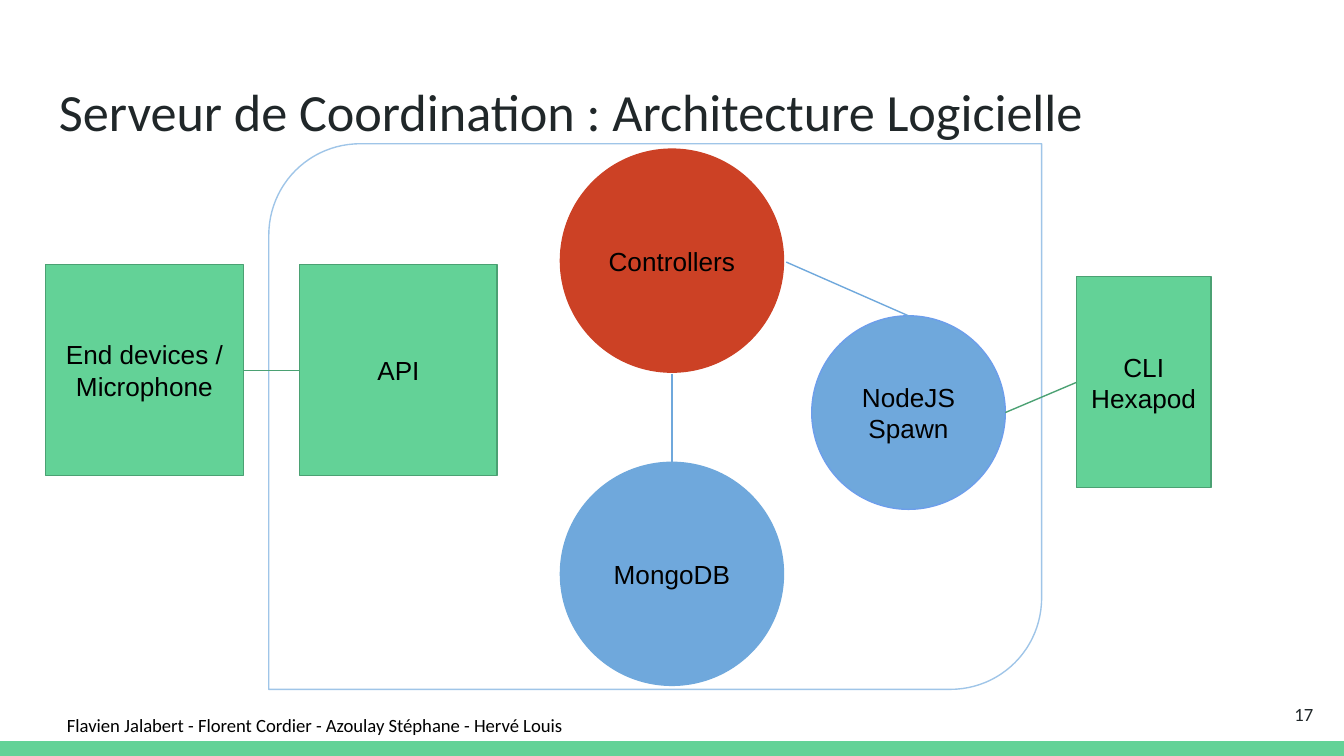
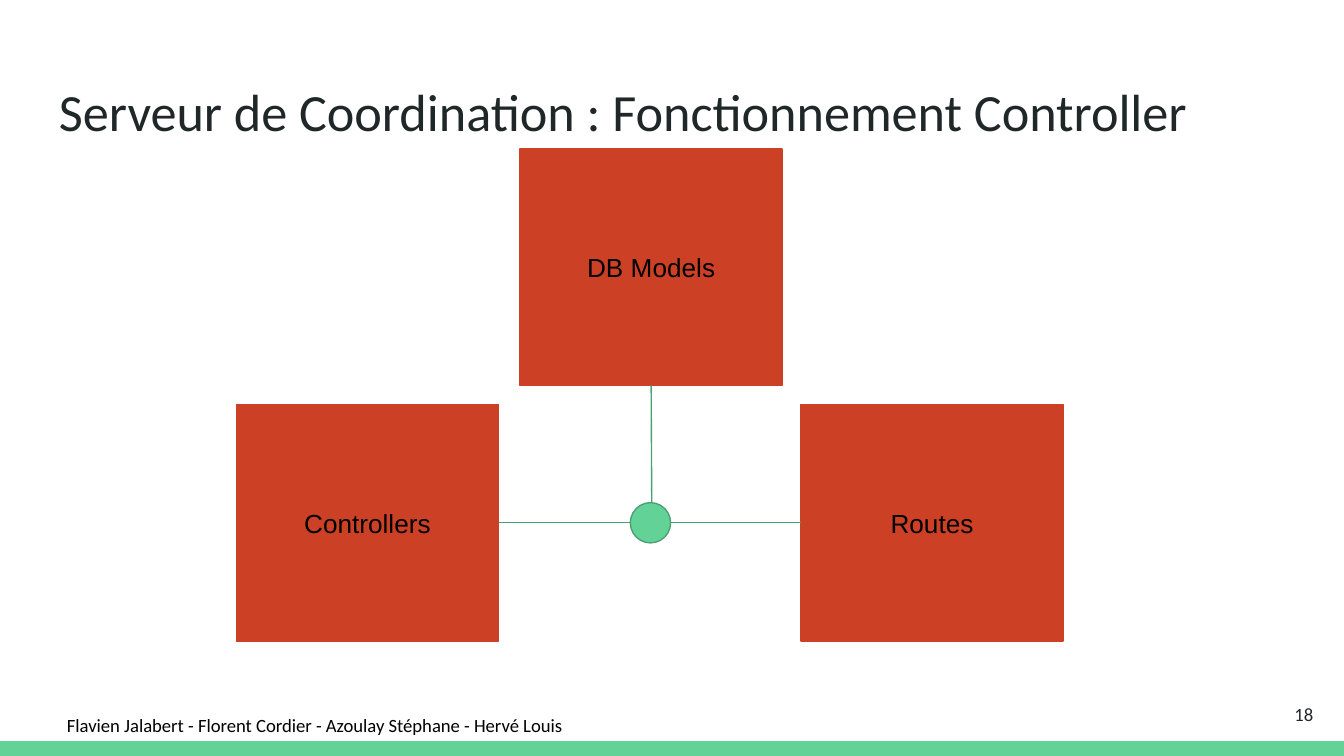
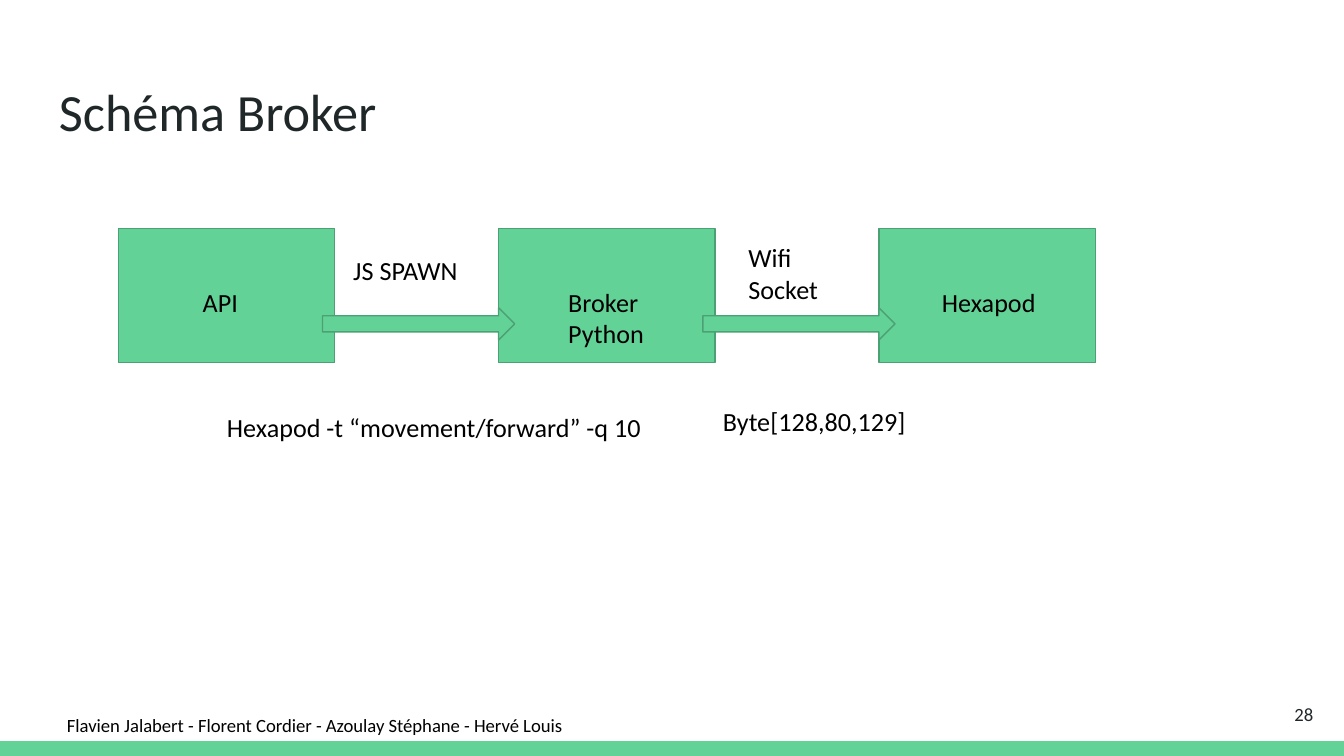
from lxml.etree import SubElement
from pptx import Presentation
from pptx.dml.color import RGBColor
from pptx.enum.shapes import MSO_CONNECTOR, MSO_SHAPE
from pptx.enum.text import MSO_ANCHOR, PP_ALIGN
from pptx.oxml.ns import qn
from pptx.shapes.autoshape import Shape
from pptx.util import Inches, Pt

GREEN, EDGE = "63D297", "4BA173"
BLUE, RIM, PALE = "6FA8DC", "6D9EEB", "9FC5E8"
RED, INK, BLACK = "CC4125", "202729", "000000"
WIDTH = 10
HEIGHT = WIDTH * 9 / 16
BAND = 0.11
TEAM = "Flavien Jalabert - Florent Cordier - Azoulay Stéphane - Hervé Louis"
TOP, LEFT, BOTTOM, RIGHT = range(4)


def tint(code):
    return RGBColor.from_string(code)


def write(shape, text, size=14, font="Calibri", color=BLACK,
          align=PP_ALIGN.LEFT, anchor=MSO_ANCHOR.TOP):
    frame = shape.text_frame
    frame.word_wrap = True
    frame.vertical_anchor = anchor
    frame.margin_left = frame.margin_right = Inches(0.1)
    frame.margin_top = frame.margin_bottom = Inches(0.1)
    para = frame.paragraphs[0]
    para.text = text
    para.alignment = align
    for run in para.runs:
        run.font.size = Pt(size)
        run.font.name = font
        run.font.color.rgb = tint(color)


class Deck:
    """Holds the shared style and the slide being filled."""

    def __init__(self):
        self.show = Presentation()
        self.show.slide_width = Inches(WIDTH)
        self.show.slide_height = Inches(HEIGHT)
        self.slide = None

    def page(self, title, number):
        self.slide = self.show.slides.add_slide(self.show.slide_layouts[6])
        self.label(TEAM, 0.05, 5.23, 4.58, 0.31, size=10,
                   align=PP_ALIGN.CENTER)
        self.shape(MSO_SHAPE.RECTANGLE, 0, HEIGHT - BAND, WIDTH, BAND, GREEN)
        self.label(title, 0.34, 0.49, 9.32, 0.63, size=28, color=INK)
        self.label(str(number), 9.27, 5.1, 0.6, 0.43, size=10, color=INK,
                   align=PP_ALIGN.RIGHT, anchor=MSO_ANCHOR.MIDDLE)

    def label(self, text, x, y, w, h, **style):
        box = self.slide.shapes.add_textbox(*map(Inches, (x, y, w, h)))
        write(box, text, **style)

    def shape(self, kind, x, y, w, h, fill=None, edge=None, text=None):
        item = self.slide.shapes.add_shape(kind, *map(Inches, (x, y, w, h)))
        item.shadow.inherit = False
        if fill:
            item.fill.solid()
            item.fill.fore_color.rgb = tint(fill)
        else:
            item.fill.background()
        if edge:
            item.line.color.rgb = tint(edge)
            item.line.width = Pt(0.75)
        else:
            item.line.fill.background()
        if text:
            write(item, text, font="Arial", align=PP_ALIGN.CENTER,
                  anchor=MSO_ANCHOR.MIDDLE)
        return item

    def box(self, x, y, w, h, text=None, fill=GREEN, edge=EDGE):
        return self.shape(MSO_SHAPE.RECTANGLE, x, y, w, h, fill, edge, text)

    def disc(self, x, y, size, text=None, fill=BLUE, edge=BLUE):
        return self.shape(MSO_SHAPE.OVAL, x, y, size, size, fill, edge, text)

    def link(self, start, end, color=EDGE):
        """Draw a line; each end is an (x, y) point or a (shape, site) pair."""
        line = self.slide.shapes.add_connector(MSO_CONNECTOR.STRAIGHT, 0, 0, 0, 0)
        if isinstance(start[0], Shape):
            line.begin_connect(*start)
        else:
            line.begin_x, line.begin_y = map(Inches, start)
        if isinstance(end[0], Shape):
            line.end_connect(*end)
        else:
            line.end_x, line.end_y = map(Inches, end)
        line.line.color.rgb = tint(color)
        line.line.width = Pt(0.75)
        SubElement(line._element.spPr, qn("a:effectLst"))


def logic(deck):
    deck.page("Serveur de Coordination : Architecture Logicielle", 17)
    zone = deck.shape(MSO_SHAPE.ROUND_2_DIAG_RECTANGLE, 2, 1.07, 5.75, 4.06,
                      edge=PALE)
    zone.adjustments[0] = 0.167
    ends = deck.box(0.34, 1.97, 1.47, 1.57, "End devices / Microphone")
    api = deck.box(2.23, 1.97, 1.47, 1.57, "API")
    store = deck.disc(4.17, 3.44, 1.66, "MongoDB")
    deck.disc(4.17, 1.11, 1.66, "Controllers", RED, RED)
    spawn = deck.disc(6.04, 2.35, 1.44, "NodeJS\nSpawn", edge=RIM)
    cli = deck.box(8.01, 2.06, 1, 1.57, "CLI Hexapod")
    deck.link((ends, RIGHT), (api, LEFT))
    deck.link((5, 2.78), (store, TOP), BLUE)
    deck.link((5.85, 1.95), (spawn, TOP), BLUE)
    deck.link((7.48, 3.07), (cli, LEFT))


def control(deck):
    deck.page("Serveur de Coordination : Fonctionnement Controller", 18)
    ctrl, model, route = [
        deck.box(x, y, 1.95, 1.76, text, RED, RED)
        for x, y, text in ((1.76, 3.01, "Controllers"),
                           (3.87, 1.11, "DB Models"),
                           (5.96, 3.01, "Routes"))]
    hub = (4.85, 3.89)
    for start in ((model, BOTTOM), (route, LEFT), (ctrl, RIGHT)):
        deck.link(start, hub)
    deck.disc(4.69, 3.74, 0.3, fill=GREEN, edge=EDGE)


def broker(deck):
    deck.page("Schéma Broker", 28)
    left, step = 0.88, 2.83
    for i in range(3):
        deck.box(left + i * step, 1.7, 1.61, 1)
    for i in range(2):
        deck.shape(MSO_SHAPE.RIGHT_ARROW, left + 1.52 + i * step, 2.29,
                   1.43, 0.24, GREEN, EDGE)
    for text, x, y, w in (("Hexapod", 6.91, 2.03, 1.11),
                          ("Broker Python", 4.13, 2.03, 0.8),
                          ("API", 1.41, 2.03, 0.8),
                          ("JS SPAWN", 2.53, 1.79, 1.28),
                          ("Wifi Socket", 5.47, 1.7, 0.93),
                          ("Hexapod -t “movement/forward” -q 10", 1.59, 2.96, 3.51),
                          ("Byte[128,80,129]", 5.28, 2.92, 1.57)):
        deck.label(text, x, y, w, 0.54)


def main():
    deck = Deck()
    for build in (logic, control, broker):
        build(deck)
    deck.show.save("out.pptx")


if __name__ == "__main__":
    main()
